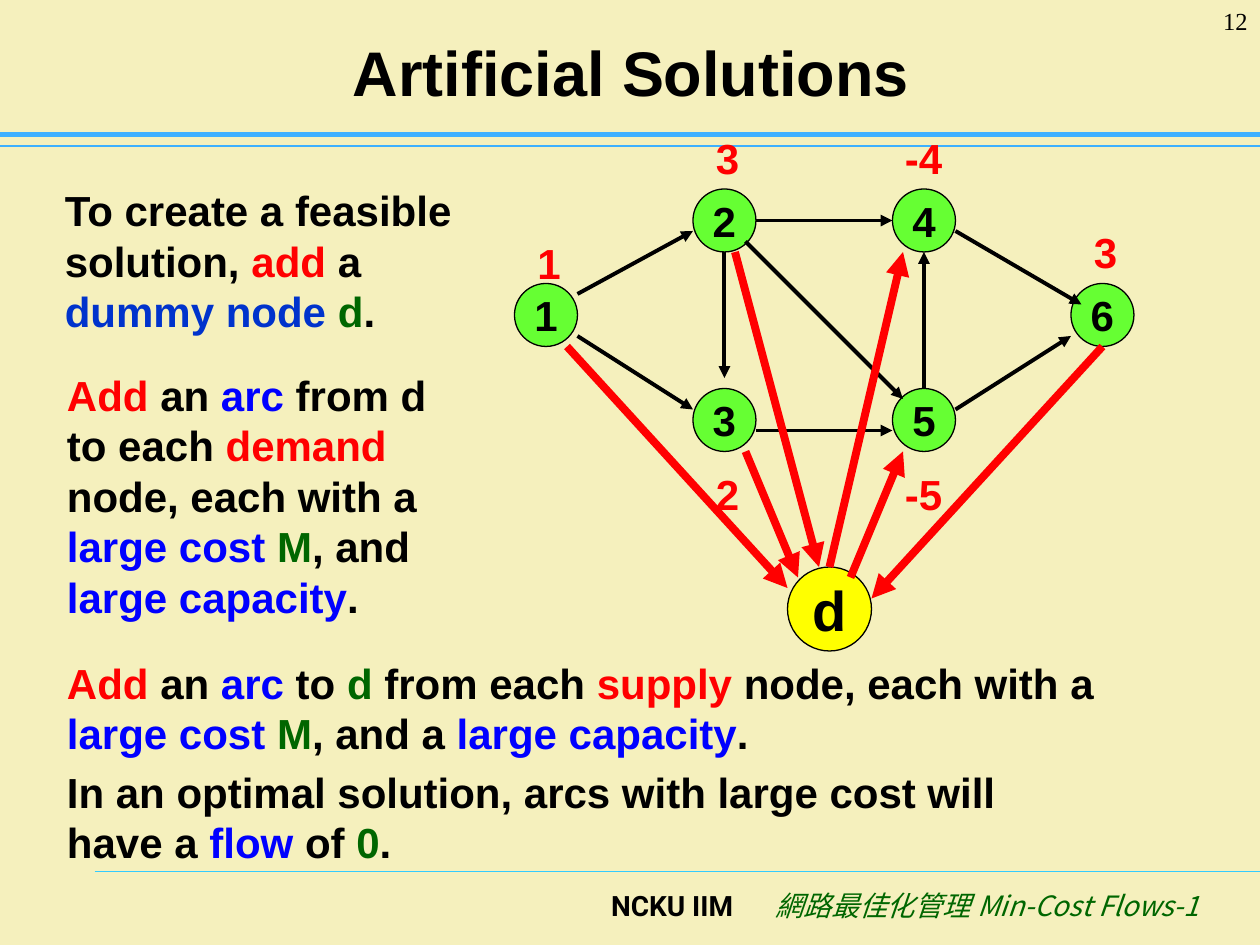
from typing import NamedTuple

import lxml.etree
import pptx
import pptx.dml.color
import pptx.enum.shapes
import pptx.enum.text
import pptx.oxml.ns
import pptx.util

ALIGN = pptx.enum.text.PP_ALIGN
ANCHOR = pptx.enum.text.MSO_ANCHOR

BLACK = "000000"
RED = "FF0000"
BLUE = "0000FF"
ROYAL = "0033CC"
GREEN = "006600"
SKY = "3DB0FF"


class Span(NamedTuple):
    text: str
    color: str = BLACK


class Node(NamedTuple):
    label: str
    left: int
    top: int
    size: int = 6
    fill: str = "66FF33"
    points: int = 24


class Arc(NamedTuple):
    x1: float
    y1: float
    x2: float
    y2: float


class Supply(NamedTuple):
    amount: str
    left: int
    top: int
    width: int = 5


class Passage(NamedTuple):
    left: float
    top: float
    width: float
    height: float
    spans: list[Span]


NODES = [
    Node("1", 49, 27),
    Node("2", 66, 18),
    Node("3", 66, 37),
    Node("4", 85, 18),
    Node("5", 85, 37),
    Node("6", 102, 27),
]
DUMMY_NODE = Node("d", 75, 54, 8, "FFFF00", 32)

NETWORK_ARCS = [
    Arc(55, 28, 66, 22),
    Arc(72, 21, 85, 21),
    Arc(91, 22, 103, 29),
    Arc(55, 32, 66, 39),
    Arc(72, 41, 85, 41),
    Arc(91, 39, 102, 32),
    Arc(69, 24, 69, 36),
    Arc(88, 37, 88, 24),
    Arc(71, 23, 86, 38),
]
ARTIFICIAL_ARCS = [
    Arc(79, 54, 86, 24),
    Arc(81, 55, 86, 43),
    Arc(54, 33, 75, 56),
    Arc(71, 43, 76, 55),
    Arc(70, 24, 78, 54),
    Arc(105, 33, 83, 57),
]
SUPPLIES = [
    Supply("1", 50, 22),
    Supply("3", 67, 12),
    Supply("-4", 85, 12, 6),
    Supply("3", 103, 21),
    Supply("-5", 85, 44, 7),
    Supply("2", 67, 44),
]

ADD_AN_ARC = [Span("Add", RED), Span(" an "), Span("arc", BLUE)]
LARGE_COST = [Span(" node, each with a "), Span("large cost ", BLUE), Span("M", GREEN)]
LARGE_CAPACITY = [Span("large capacity", BLUE), Span(".")]

PASSAGES = [
    Passage(5, 17, 41, 15.6, [
        Span("To create a feasible solution, "), Span("add", RED), Span(" a "),
        Span("dummy node ", ROYAL), Span("d", GREEN), Span("."),
    ]),
    Passage(5.2, 34.6, 41, 25.2, [
        *ADD_AN_ARC, Span(" from d to each "), Span("demand", RED),
        *LARGE_COST, Span(", and "), *LARGE_CAPACITY,
    ]),
    Passage(5.2, 62, 101, 10.8, [
        *ADD_AN_ARC, Span(" to "), Span("d", GREEN), Span(" from each "),
        Span("supply", RED), *LARGE_COST, Span(", and a "), *LARGE_CAPACITY,
    ]),
    Passage(5.2, 72.4, 101, 10.8, [
        Span("In an optimal solution, arcs with large cost will have a "),
        Span("flow", BLUE), Span(" of "), Span("0", GREEN), Span("."),
    ]),
]


def grid(twelfths: float) -> pptx.util.Length:
    return pptx.util.Cm(twelfths * 2.54 / 12)


def rgb(value: str) -> pptx.dml.color.RGBColor:
    return pptx.dml.color.RGBColor.from_string(value)


def write(frame, spans, *, size=24, font="Arial", bold=True, italic=False,
          align=ALIGN.LEFT, anchor=ANCHOR.TOP, wrap=True) -> None:
    frame.word_wrap = wrap
    frame.vertical_anchor = anchor
    paragraph = frame.paragraphs[0]
    paragraph.alignment = align
    for span in spans:
        run = paragraph.add_run()
        run.text = span.text
        run.font.size = pptx.util.Pt(size)
        run.font.name = font
        run.font.bold = bold
        run.font.italic = italic
        run.font.color.rgb = rgb(span.color)
        east_asian = lxml.etree.SubElement(
            run._r.get_or_add_rPr(), pptx.oxml.ns.qn("a:ea"))
        east_asian.set("typeface", font)


def add_text(slide, left: float, top: float, width: float, height: float,
             spans: list[Span], **style) -> None:
    box = slide.shapes.add_textbox(grid(left), grid(top), grid(width), grid(height))
    write(box.text_frame, spans, **style)


def add_node(slide, node: Node) -> None:
    circle = slide.shapes.add_shape(
        pptx.enum.shapes.MSO_SHAPE.OVAL,
        grid(node.left), grid(node.top), grid(node.size), grid(node.size))
    circle.shadow.inherit = False
    circle.fill.solid()
    circle.fill.fore_color.rgb = rgb(node.fill)
    circle.line.color.rgb = rgb(BLACK)
    circle.line.width = pptx.util.Pt(0.75)
    write(circle.text_frame, [Span(node.label)], size=node.points,
          align=ALIGN.CENTER, anchor=ANCHOR.MIDDLE, wrap=False)


def add_line(slide, arc: Arc, color: str, width: float, arrow: bool = False) -> None:
    connector = slide.shapes.add_connector(
        pptx.enum.shapes.MSO_CONNECTOR.STRAIGHT, *(grid(value) for value in arc))
    connector.line.color.rgb = rgb(color)
    connector.line.width = pptx.util.Pt(width)
    if arrow:
        tail = lxml.etree.SubElement(
            connector.line._get_or_add_ln(), pptx.oxml.ns.qn("a:tailEnd"))
        tail.set("type", "triangle")
    lxml.etree.SubElement(connector._element.spPr, pptx.oxml.ns.qn("a:effectLst"))


def main() -> None:
    deck = pptx.Presentation()
    deck.slide_width = grid(120)
    deck.slide_height = grid(90)
    slide = deck.slides.add_slide(deck.slide_layouts[5])
    slide.background.fill.solid()
    slide.background.fill.fore_color.rgb = rgb("F5F0BD")

    add_line(slide, Arc(9, 83, 120, 83), "33CCFF", 0.75)
    add_line(slide, Arc(0, 13.9, 120, 13.9), SKY, 0.75)
    add_line(slide, Arc(0, 12.8, 120, 12.8), SKY, 2.5)
    add_text(slide, 50, 84, 21, 6, [Span("NCKU IIM")],
             size=16, font="Roboto", align=ALIGN.RIGHT)
    add_text(slide, 71, 84, 44.4, 6, [Span("網路最佳化管理 Min-Cost Flows-1", GREEN)],
             size=16, font="Noto Sans CJK SC", bold=False, italic=True,
             align=ALIGN.RIGHT)

    title = slide.shapes.title
    title.left, title.top = grid(6.1), grid(1.6)
    title.width, title.height = grid(108), grid(10.4)
    write(title.text_frame, [Span("Artificial Solutions")], size=36,
          align=ALIGN.CENTER, anchor=ANCHOR.MIDDLE)

    for node in NODES:
        add_node(slide, node)
    for arc in NETWORK_ARCS:
        add_line(slide, arc, BLACK, 2.25, arrow=True)
    for supply in SUPPLIES:
        add_text(slide, supply.left, supply.top, supply.width, 6,
                 [Span(supply.amount, RED)])
    for passage in PASSAGES:
        add_text(slide, *passage)
    add_node(slide, DUMMY_NODE)
    for arc in ARTIFICIAL_ARCS:
        add_line(slide, arc, RED, 4.5, arrow=True)
    add_text(slide, 110, 0, 10, 6, [Span("12")], size=14,
             font="Times New Roman", bold=False, align=ALIGN.RIGHT)

    deck.save("out.pptx")


if __name__ == "__main__":
    main()
